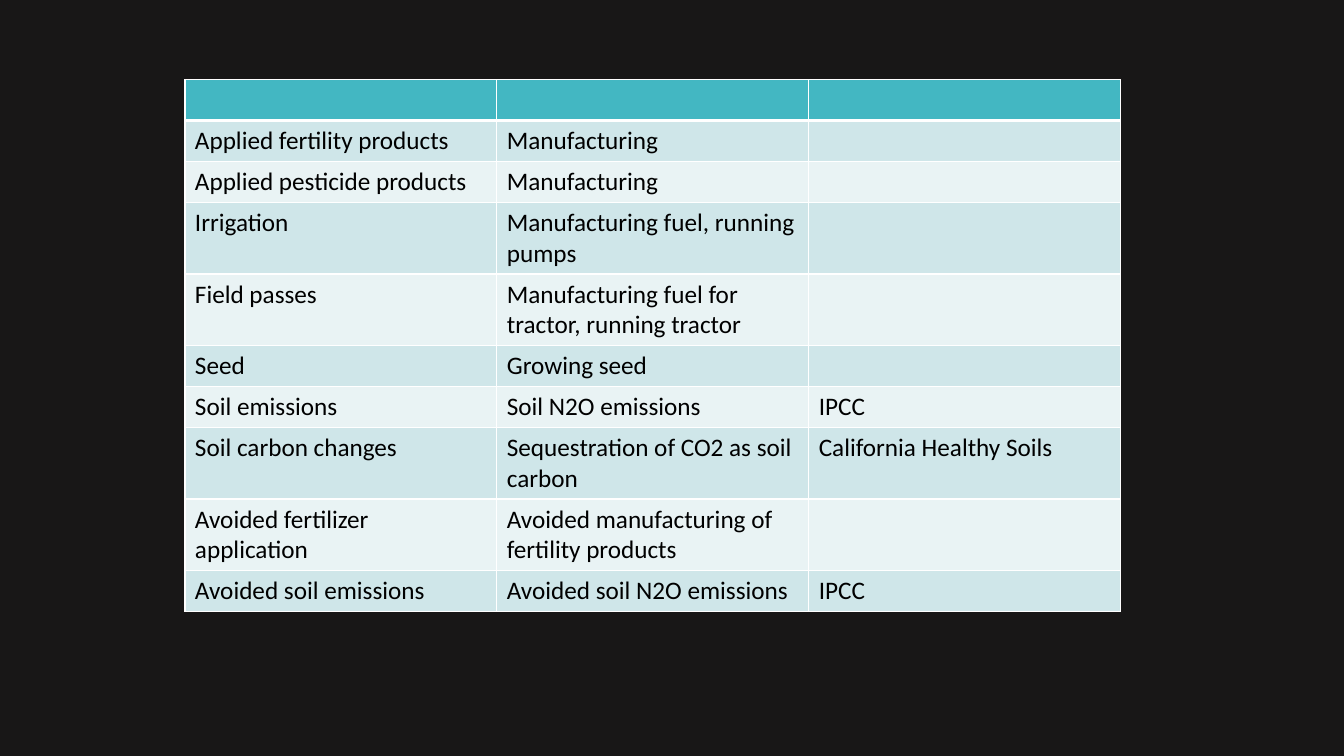
from dataclasses import dataclass

from lxml.etree import SubElement
from pptx import Presentation
from pptx.dml.color import RGBColor
from pptx.oxml.ns import qn
from pptx.util import Cm, Pt


@dataclass(frozen=True)
class Theme:
    background: str = "181717"
    header: str = "43B7C2"
    bands: tuple = ("CFE6E9", "E9F3F4")
    border: str = "FFFFFF"
    text: str = "000000"
    font: str = "Calibri"
    text_size: int = 18
    thin_line: int = 1
    thick_line: int = 3


THEME = Theme()

# Table rows, the first one being the empty header
ROWS = [
    ("", "", ""),
    ("Applied fertility products", "Manufacturing", ""),
    ("Applied pesticide products", "Manufacturing", ""),
    ("Irrigation", "Manufacturing fuel, running pumps", ""),
    ("Field passes", "Manufacturing fuel for tractor, running tractor", ""),
    ("Seed", "Growing seed", ""),
    ("Soil emissions", "Soil N2O emissions", "IPCC"),
    ("Soil carbon changes", "Sequestration of CO2 as soil carbon", "California Healthy Soils"),
    ("Avoided fertilizer application", "Avoided manufacturing of fertility products", ""),
    ("Avoided soil emissions", "Avoided soil N2O emissions", "IPCC"),
]
COLUMN_WIDTH = Cm(7.86)
ROW_HEIGHT = Cm(1.03)


def paint(fill, color):
    fill.solid()
    fill.fore_color.rgb = RGBColor.from_string(color)


def add_borders(cell, widths):
    properties = cell._tc.get_or_add_tcPr()
    for side, width in widths.items():
        line = SubElement(properties, qn(f"a:ln{side}"), w=str(Pt(width)))
        solid_fill = SubElement(line, qn("a:solidFill"))
        SubElement(solid_fill, qn("a:srgbClr"), val=THEME.border)


def write_text(cell, text):
    run = cell.text_frame.paragraphs[0].add_run()
    run.text = text
    text_format = {"name": THEME.font, "size": Pt(THEME.text_size), "bold": False}
    for attribute, value in text_format.items():
        setattr(run.font, attribute, value)
    run.font.color.rgb = RGBColor.from_string(THEME.text)


def format_cell(cell, row_index, text):
    # The line under the header is thicker than the others
    widths = dict.fromkeys("LRTB", THEME.thin_line)
    if row_index == 0:
        widths["B"] = THEME.thick_line
    elif row_index == 1:
        widths["T"] = THEME.thick_line
    add_borders(cell, widths)

    # Body rows alternate between the two band colours
    paint(cell.fill, THEME.bands[(row_index - 1) % 2] if row_index else THEME.header)
    if text:
        write_text(cell, text)


def add_emissions_table(slide, left, top):
    column_count = len(ROWS[0])
    table = slide.shapes.add_table(
        len(ROWS), column_count, left, top,
        COLUMN_WIDTH * column_count, ROW_HEIGHT * len(ROWS),
    ).table
    for row_index, texts in enumerate(ROWS):
        for column_index, text in enumerate(texts):
            format_cell(table.cell(row_index, column_index), row_index, text)


def main():
    presentation = Presentation()
    presentation.slide_width = Cm(33.87)
    presentation.slide_height = Cm(19.05)

    # Blank slide with a dark background
    slide = presentation.slides.add_slide(presentation.slide_layouts[6])
    paint(slide.background.fill, THEME.background)

    # Emissions table
    add_emissions_table(slide, Cm(4.66), Cm(2.01))
    presentation.save("out.pptx")


if __name__ == "__main__":
    main()
